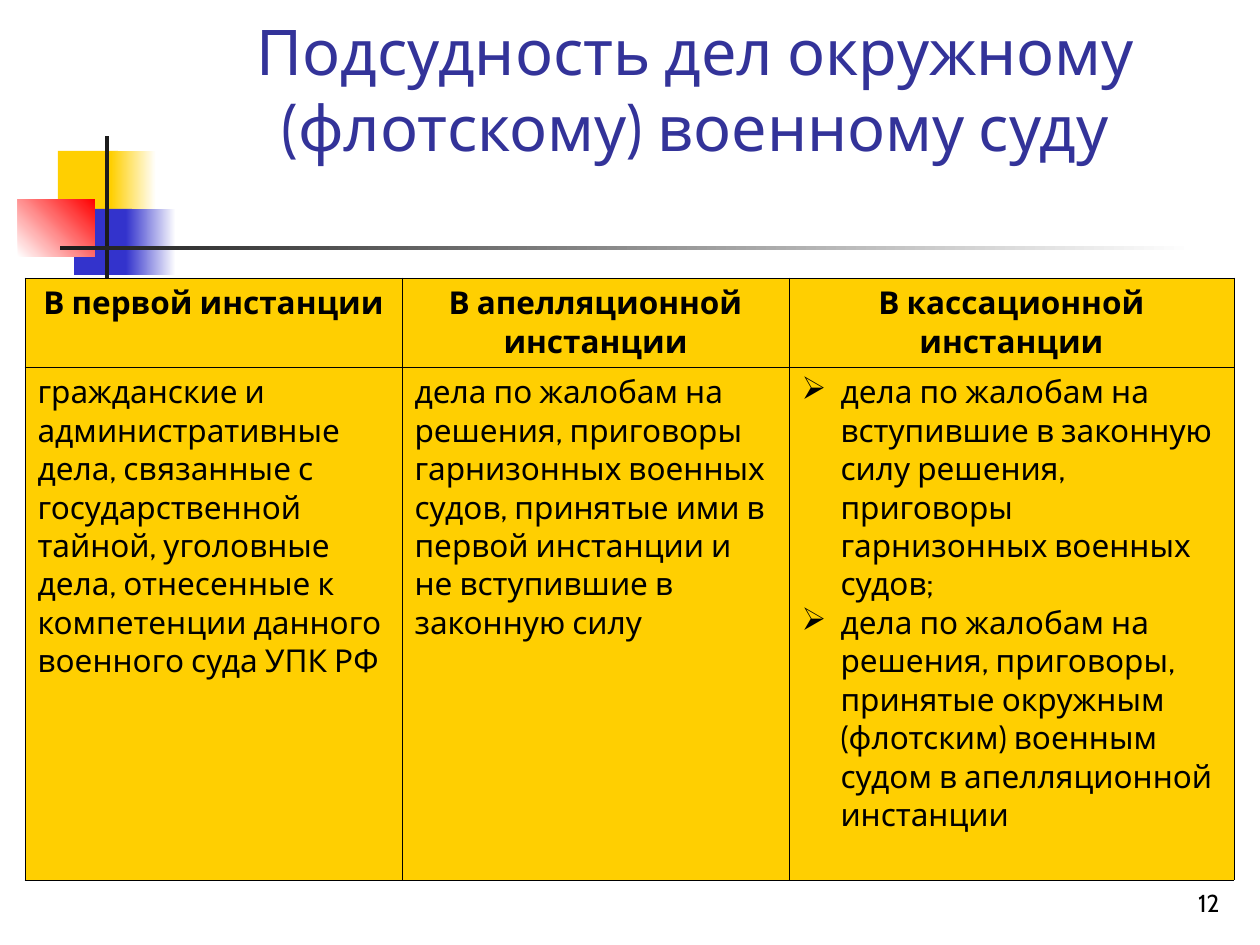
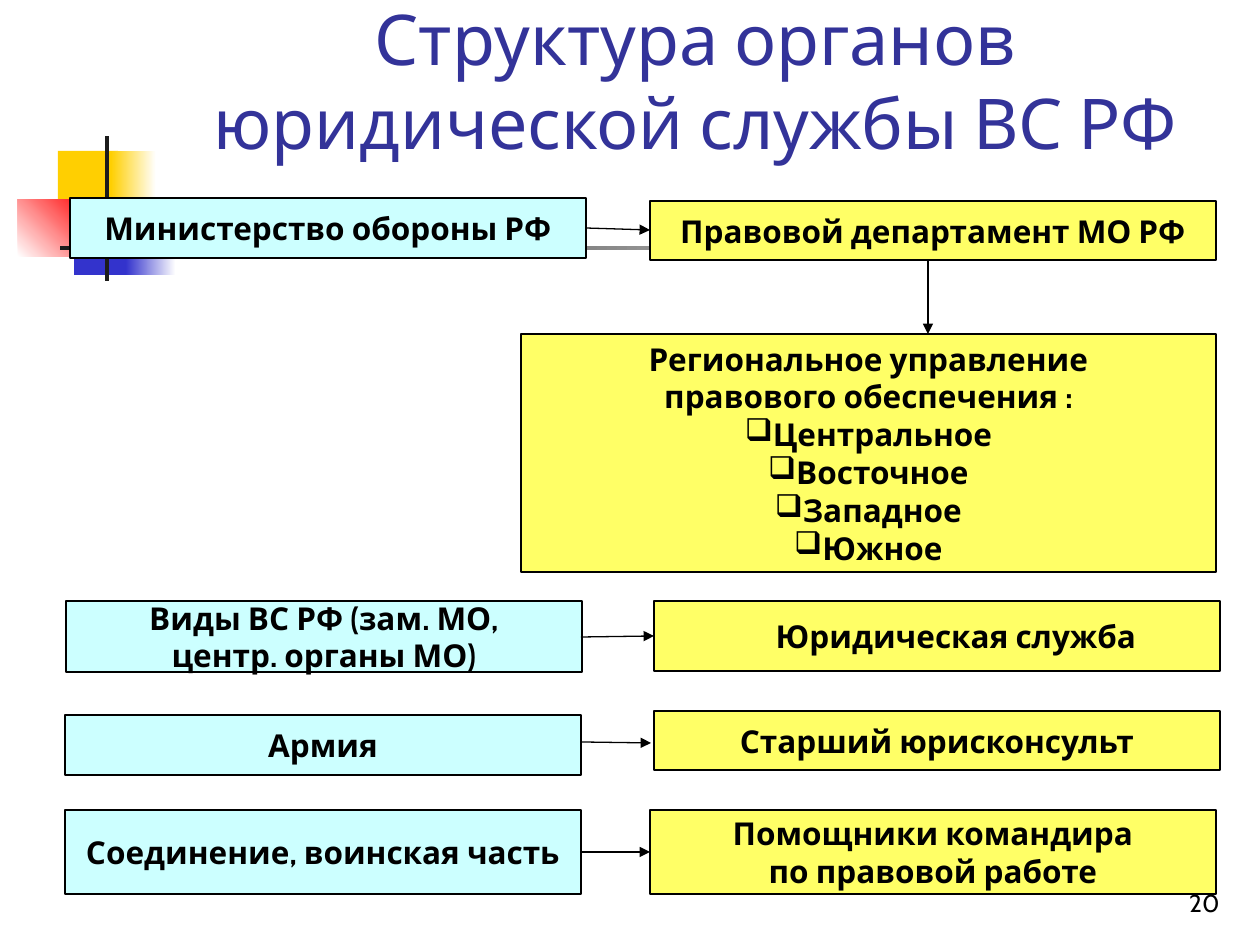
from dataclasses import dataclass

from pptx import Presentation
from pptx.dml.color import RGBColor
from pptx.enum.shapes import MSO_CONNECTOR, MSO_SHAPE
from pptx.enum.text import MSO_ANCHOR, MSO_AUTO_SIZE, PP_ALIGN
from pptx.oxml import parse_xml
from pptx.oxml.ns import nsdecls
from pptx.util import Pt

PX = 914400 / 126


@dataclass(frozen=True)
class Theme:
    font: str = "Cabin"
    title: str = "333399"
    text: str = "000000"
    gold: str = "FFCF01"
    blue: str = "3333CC"
    red: str = "FF0000"
    dark: str = "1C1C1C"
    white: str = "FFFFFF"
    cyan: str = "CCFFFF"
    yellow: str = "FFFF66"
    body_size: int = 18
    number_size: int = 14


T = Theme()


def px(*values):
    return [round(v * PX) for v in values]


def write(tf, text, size=T.body_size, color=T.text, bold=False, align=PP_ALIGN.LEFT,
          anchor=MSO_ANCHOR.TOP, bullet=None, bullet_from=0, left=0, hang=0):
    """Fill a text frame, one paragraph per line of text."""
    tf.vertical_anchor = anchor
    for i, line in enumerate(text.split("\n")):
        p = tf.paragraphs[0] if i == 0 else tf.add_paragraph()
        p.alignment = align
        pPr = p._p.get_or_add_pPr()
        margin, indent = px(left, -hang)
        pPr.set("marL", str(margin))
        pPr.set("indent", str(indent))
        if bullet and i >= bullet_from:
            pPr.append(parse_xml(f'<a:buChar {nsdecls("a")} char="{bullet}"/>'))
        r = p.add_run()
        r.text = line
        r.font.name = T.font
        r.font.size = Pt(size)
        r.font.bold = bold
        r.font.color.rgb = RGBColor.from_string(color)


prs = Presentation()
prs.slide_width, prs.slide_height = px(1260, 945)

# Shared frame: x, y, width, height, start colour, end colour, angle
ornament = [
    (58, 151, 60, 66, T.gold, None, 0),
    (111, 151, 45, 66, T.gold, T.white, 0),
    (74, 209, 58, 66, T.blue, None, 0),
    (126, 209, 50, 66, T.blue, T.white, 0),
    (18, 199, 77, 58, T.white, T.red, 45),
    (105, 136, 4, 145, T.dark, None, 0),
    (60, 246, 1134, 4, T.dark, T.white, 0),
]
pages = [
    ("Подсудность дел окружному (флотскому) военному суду", 36, "12"),
    ("Структура органов юридической службы ВС РФ", 40, "20"),
]
slides = []
for title, title_size, number in pages:
    s = prs.slides.add_slide(prs.slide_layouts[5])
    slides.append(s)
    for x, y, w, h, start, end, angle in ornament:
        sp = s.shapes.add_shape(MSO_SHAPE.RECTANGLE, *px(x, y, w, h))
        sp.shadow.inherit = False
        sp.line.fill.background()
        if end:
            sp.fill.gradient()
            sp.fill.gradient_angle = angle
            for stop, color in zip(sp.fill.gradient_stops, (start, end)):
                stop.color.rgb = RGBColor.from_string(color)
        else:
            sp.fill.solid()
            sp.fill.fore_color.rgb = RGBColor.from_string(start)

    sp = s.shapes.title
    sp.left, sp.top, sp.width, sp.height = px(159, 29, 1073, 135)
    tf = sp.text_frame
    tf.auto_size = MSO_AUTO_SIZE.NONE
    tf.word_wrap = True
    tf.margin_left = tf.margin_right = tf.margin_top = tf.margin_bottom = 0
    write(tf, title, size=title_size, color=T.title,
          align=PP_ALIGN.CENTER, anchor=MSO_ANCHOR.BOTTOM)

    tf = s.shapes.add_textbox(*px(970, 861, 262, 63)).text_frame
    tf.word_wrap = True
    write(tf, number, size=T.number_size, align=PP_ALIGN.RIGHT, anchor=MSO_ANCHOR.BOTTOM)

jurisdiction, structure = slides

# Jurisdiction table: width, heading, text, bullet format
columns = [
    (377, "В первой инстанции",
     "гражданские и административные дела, связанные с государственной тайной, "
     "уголовные дела, отнесенные к компетенции данного военного суда УПК РФ", {}),
    (387, "В апелляционной инстанции",
     "дела по жалобам на решения, приговоры гарнизонных военных судов, "
     "принятые ими в первой инстанции и не вступившие в законную силу", {}),
    (445, "В кассационной инстанции",
     "дела по жалобам на вступившие в законную силу решения, "
     "приговоры гарнизонных военных судов;\n"
     "дела по жалобам на решения, приговоры, принятые окружным (флотским) "
     "военным судом в апелляционной инстанции",
     dict(bullet="➢", left=39, hang=39)),
]
table = jurisdiction.shapes.add_table(2, 3, *px(25, 278, 1209, 602)).table
table.first_row = table.horz_banding = False
table.rows[0].height, table.rows[1].height = px(89, 513)
for c, (width, heading, text, style) in enumerate(columns):
    table.columns[c].width = px(width)[0]
    write(table.cell(0, c).text_frame, heading, bold=True, align=PP_ALIGN.CENTER)
    write(table.cell(1, c).text_frame, text, **style)
for cell in table.iter_cells():
    cell.fill.solid()
    cell.fill.fore_color.rgb = RGBColor.from_string(T.gold)
    for i, side in enumerate(("lnL", "lnR", "lnT", "lnB")):
        cell._tc.get_or_add_tcPr().insert(i, parse_xml(
            f'<a:{side} {nsdecls("a")} w="{Pt(0.45)}"><a:solidFill>'
            f'<a:srgbClr val="{T.text}"/></a:solidFill></a:{side}>'))

# Structure boxes: x, y, width, height, fill, text, format
boxes = [
    (70, 198, 516, 60, T.cyan, "Министерство обороны РФ", {}),
    (66, 601, 516, 71, T.cyan, "Виды ВС РФ (зам. МО,\nцентр. органы МО)", {}),
    (65, 715, 516, 60, T.cyan, "Армия", {}),
    (65, 810, 516, 84, T.cyan, "Соединение, воинская часть", {}),
    (650, 201, 566, 59, T.yellow, "Правовой департамент МО РФ", {}),
    (521, 334, 695, 238, T.yellow,
     "Региональное управление\nправового обеспечения :\n"
     "Центральное\nВосточное\nЗападное\nЮжное", dict(bullet="❑", bullet_from=2)),
    (654, 601, 566, 70, T.yellow, "Юридическая служба", dict(left=38)),
    (654, 711, 566, 59, T.yellow, "Старший юрисконсульт", {}),
    (650, 810, 566, 84, T.yellow, "Помощники командира\nпо правовой работе", {}),
]
for x, y, w, h, color, text, style in boxes:
    sp = structure.shapes.add_shape(MSO_SHAPE.RECTANGLE, *px(x, y, w, h))
    sp.shadow.inherit = False
    sp.fill.solid()
    sp.fill.fore_color.rgb = RGBColor.from_string(color)
    sp.line.color.rgb = RGBColor.from_string(T.text)
    sp.line.width = Pt(0.75)
    sp.text_frame.word_wrap = False
    write(sp.text_frame, text, bold=True, align=PP_ALIGN.CENTER,
          anchor=MSO_ANCHOR.MIDDLE, **style)

# Arrows between the boxes
arrows = [
    (586, 228, 650, 230),
    (928, 260, 928, 334),
    (581, 637, 654, 636),
    (581, 742, 651, 743),
    (581, 852, 650, 852),
]
for ends in arrows:
    sp = structure.shapes.add_connector(MSO_CONNECTOR.STRAIGHT, *px(*ends))
    sp.line.color.rgb = RGBColor.from_string(T.text)
    sp.line.width = Pt(0.75)
    sp.line._get_or_add_ln().append(
        parse_xml(f'<a:tailEnd {nsdecls("a")} type="triangle"/>'))
    sp._element.spPr.append(parse_xml(f'<a:effectLst {nsdecls("a")}/>'))

prs.save("out.pptx")
